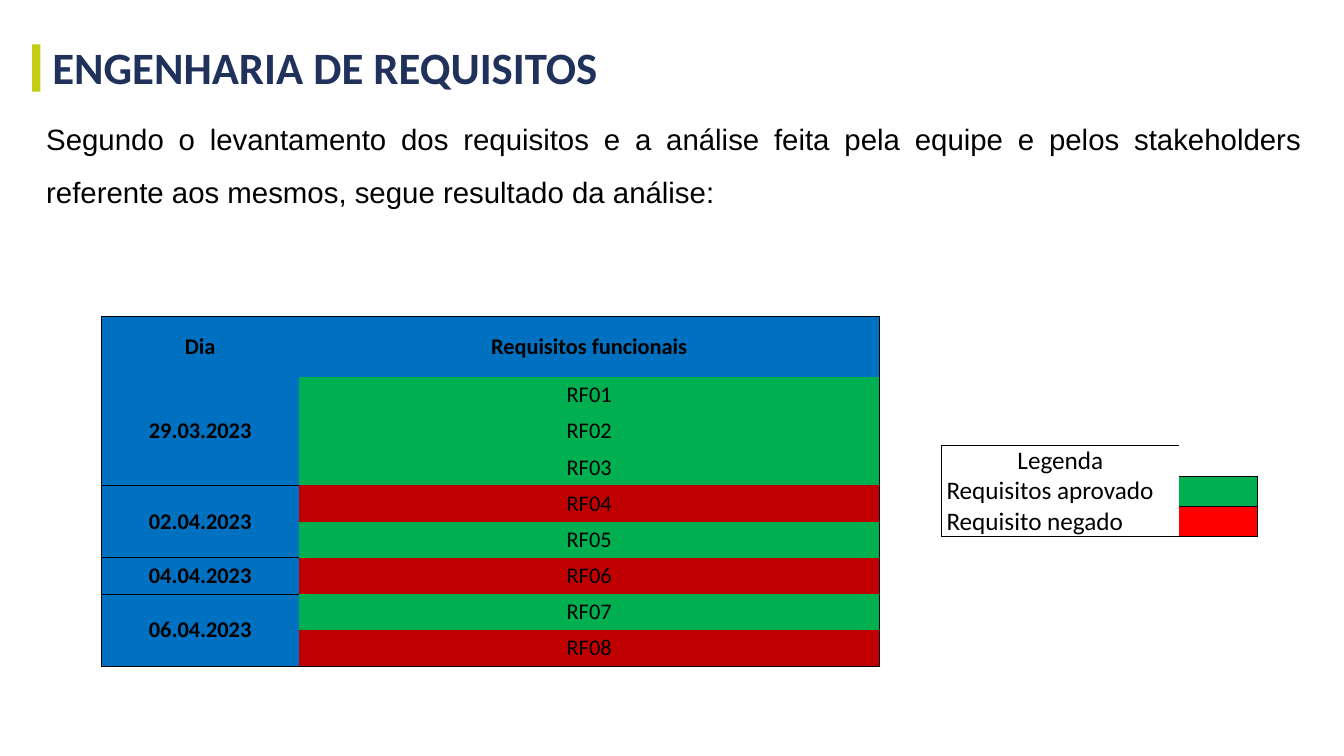
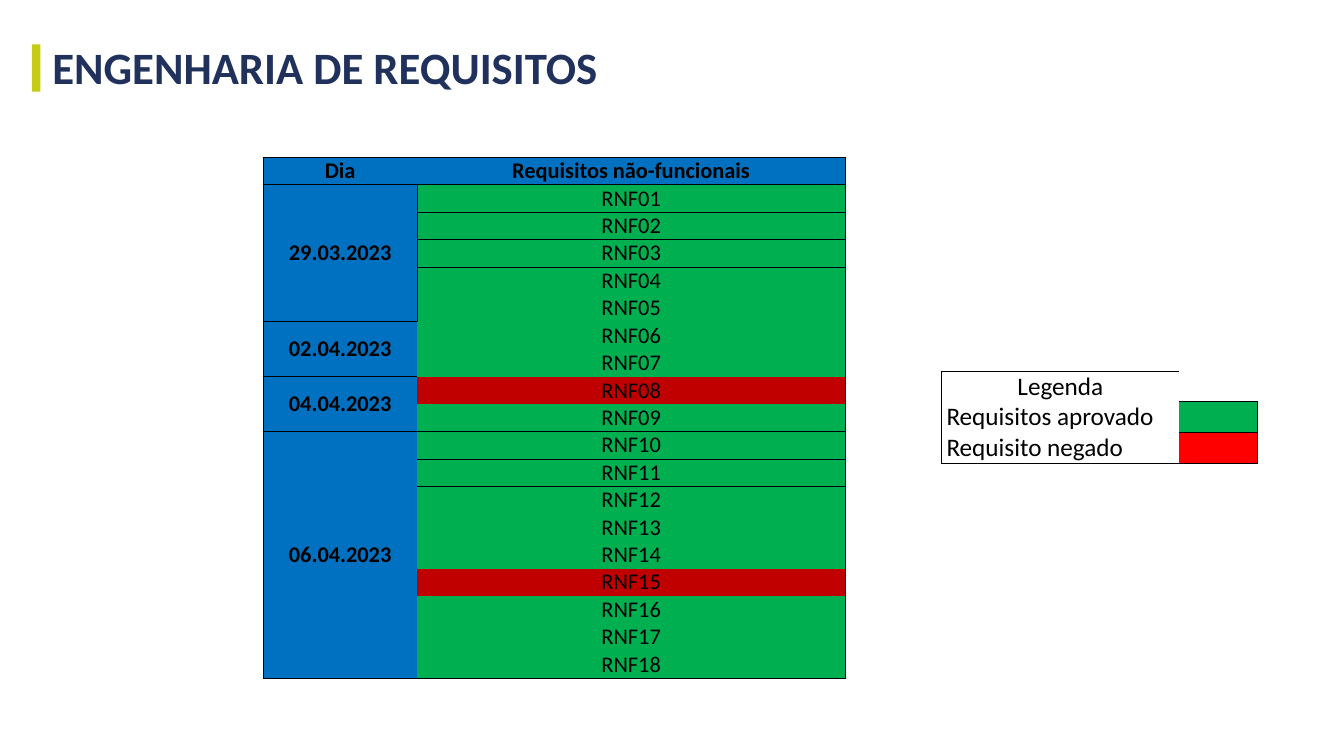
"""Build two slides that list approved and denied requirements by day."""
from dataclasses import dataclass

from lxml.etree import SubElement
from pptx import Presentation
from pptx.dml.color import RGBColor as RGB
from pptx.enum.shapes import MSO_SHAPE as SHAPE
from pptx.enum.text import MSO_ANCHOR as ANCHOR, MSO_AUTO_SIZE as AUTO, PP_ALIGN as ALIGN
from pptx.oxml.ns import qn
from pptx.util import Pt


@dataclass(frozen=True)
class Theme:
    """Colours, fonts and sizes of the deck."""
    navy: str = "20315C"
    lime: str = "C4CC14"
    black: str = "000000"
    header: str = "0070C0"
    approved: str = "00B050"
    denied: str = "C00000"
    denied_key: str = "FF0000"
    font: str = "Calibri"
    body_font: str = "Arial"
    title_size: float = 32
    body_size: float = 21
    table_size: float = 16
    legend_size: float = 18
    rule: float = 0.5


THEME = Theme()
PLAIN_TABLE = "{2D5ABB26-0587-4C30-8999-92F81FD0307C}"
TITLE = "ENGENHARIA DE REQUISITOS"
INTRO = ("Segundo o levantamento dos requisitos e a análise feita pela equipe e pelos "
         "stakeholders referente aos mesmos, segue resultado da análise:")


def write(tf, text, size, color=THEME.black, font=THEME.font, bold=False, align=ALIGN.LEFT):
    """Write one formatted run into the first paragraph and return the paragraph."""
    p = tf.paragraphs[0]
    p.alignment = align
    r = p.add_run()
    r.text = text
    r.font.size, r.font.name, r.font.bold = Pt(size), font, bold
    r.font.color.rgb = RGB.from_string(color)
    return p


def add_titled_slide(prs):
    """Add a slide with the accent bar and the title."""
    s = prs.slides.add_slide(prs.slide_layouts[5])
    bar = s.shapes.add_shape(SHAPE.RECTANGLE, Pt(23), Pt(31.7), Pt(5.8), Pt(33.8))
    bar.shadow.inherit = False
    bar.fill.solid()
    bar.fill.fore_color.rgb = RGB.from_string(THEME.lime)
    bar.line.fill.background()
    sp = s.shapes.title
    sp.left, sp.top, sp.width, sp.height = Pt(30.2), Pt(24.5), Pt(407.5), Pt(46)
    tf = sp.text_frame
    tf.word_wrap, tf.auto_size, tf.vertical_anchor = False, AUTO.NONE, ANCHOR.MIDDLE
    write(tf, TITLE, THEME.title_size, THEME.navy, bold=True)
    return s


def add_intro(s, text):
    """Add the justified introduction."""
    sp = s.shapes.add_textbox(Pt(25.9), Pt(70.6), Pt(910.8), Pt(185.8))
    sp.text_frame.word_wrap = True
    p = write(sp.text_frame, text, THEME.body_size, font=THEME.body_font, align=ALIGN.JUSTIFY)
    p.line_spacing = 1.5


def add_grid(s, left, top, widths, heights):
    """Add an unstyled table with the given columns and rows."""
    frame = s.shapes.add_table(len(heights), len(widths), Pt(left), Pt(top),
                               Pt(sum(widths)), Pt(sum(heights)))
    table = frame.table
    table.first_row = table.horz_banding = False
    table._tbl.tblPr.find(qn("a:tableStyleId")).text = PLAIN_TABLE
    for column, width in zip(table.columns, widths):
        column.width = Pt(width)
    for row, height in zip(table.rows, heights):
        row.height = Pt(height)
    return table


def add_border(cell, side):
    """Draw one thin edge of a cell."""
    ln = SubElement(cell._tc.get_or_add_tcPr(), qn(f"a:ln{side}"), w=str(Pt(THEME.rule)))
    SubElement(SubElement(ln, qn("a:solidFill")), qn("a:srgbClr"), val=THEME.black)


def finish_cells(table, across, down, fill_of):
    """Set margins, edges and fills; across and down hold (row, column) of grid edges."""
    for r in range(len(table.rows)):
        for c in range(len(table.columns)):
            cell = table.cell(r, c)
            bottom, right = r + cell.span_height, c + cell.span_width
            edges = {"L": (r, c) in down, "R": (r, right) in down,
                     "T": (r, c) in across, "B": (bottom, c) in across}
            for side, drawn in edges.items():
                if drawn:
                    add_border(cell, side)
            cell.margin_left = cell.margin_right = Pt(3.6)
            cell.margin_top = cell.margin_bottom = 0
            cell.vertical_anchor = ANCHOR.MIDDLE
            color = fill_of(r, c)
            if color:
                cell.fill.solid()
                cell.fill.fore_color.rgb = RGB.from_string(color)
            else:
                cell.fill.background()


def add_requirements(s, place, widths, heights, heading, prefix, days, denied,
                     across=(), down=()):
    """Add the table of requirements, with one merged cell for each day."""
    table = add_grid(s, *place, widths, heights)
    rows, cols = len(heights), len(widths)

    def label(r, c, text, bold):
        """Write a centred cell."""
        write(table.cell(r, c).text_frame, text, THEME.table_size, bold=bold, align=ALIGN.CENTER)

    for r in range(rows):
        table.cell(r, 1).merge(table.cell(r, cols - 1))
        label(r, 1, f"{prefix}{r:02d}" if r else heading, r == 0)
    label(0, 0, "Dia", True)
    start = 1
    for day, count in days:
        if count > 1:
            table.cell(start, 0).merge(table.cell(start + count - 1, 0))
        label(start, 0, day, True)
        start += count

    def fill_of(r, c):
        """Choose blue for headings, else the colour of the result."""
        if r == 0 or c == 0:
            return THEME.header
        return THEME.denied if r in denied else THEME.approved

    frame_across = {(r, c) for r in (0, rows) for c in range(cols)}
    frame_down = {(r, c) for r in range(rows) for c in (0, cols)}
    finish_cells(table, frame_across | set(across), frame_down | set(down), fill_of)


def add_legend(s, top):
    """Add the colour key."""
    table = add_grid(s, 672.5, top, [169.9, 55.4], [21.7] * 3)
    for r, text in enumerate(["Legenda", "Requisitos aprovado", "Requisito negado"]):
        write(table.cell(r, 0).text_frame, text, THEME.legend_size,
              align=ALIGN.LEFT if r else ALIGN.CENTER)
    fills = {(1, 1): THEME.approved, (2, 1): THEME.denied_key}
    across = {(0, 0), (1, 1), (2, 1), (3, 0), (3, 1)}
    down = {(0, 0), (1, 0), (2, 0), (1, 2), (2, 2)}
    finish_cells(table, across, down, lambda r, c: fills.get((r, c)))


def main():
    """Build and save the deck."""
    prs = Presentation()
    prs.slide_width, prs.slide_height = Pt(960), Pt(540)
    days = ["29.03.2023", "02.04.2023", "04.04.2023", "06.04.2023"]

    s = add_titled_slide(prs)
    add_intro(s, INTRO)
    add_requirements(s, (72.5, 226.1), [141, 342, 72.7], [43.2] + [25.83] * 8,
                     "Requisitos funcionais", "RF", zip(days, [3, 2, 1, 2]), {4, 6, 8},
                     across=[(4, 0), (6, 0)])
    add_legend(s, 318.2)

    s = add_titled_slide(prs)
    full_lines = [(r, c) for r in (1, 10) for c in range(3)]
    result_lines = [(r, c) for r in (2, 3, 11) for c in (1, 2)]
    add_requirements(s, (187.9, 112.3), [110.2, 266.4, 39.2], [19.2] * 19,
                     "Requisitos não-funcionais", "RNF", zip(days, [5, 2, 2, 9]), {8, 15},
                     across=full_lines + result_lines + [(6, 0)],
                     down=[(r, 1) for r in range(1, 6)])
    add_legend(s, 265)

    prs.save("out.pptx")


main()
